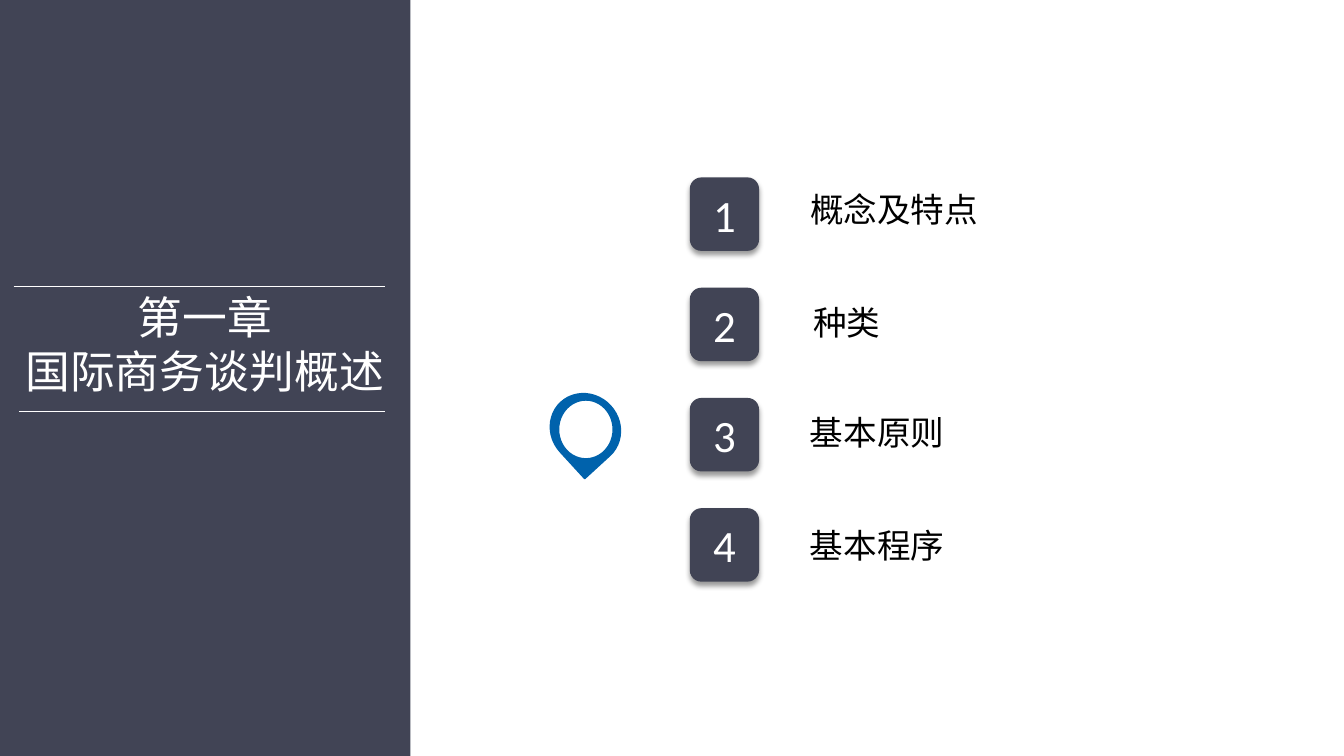
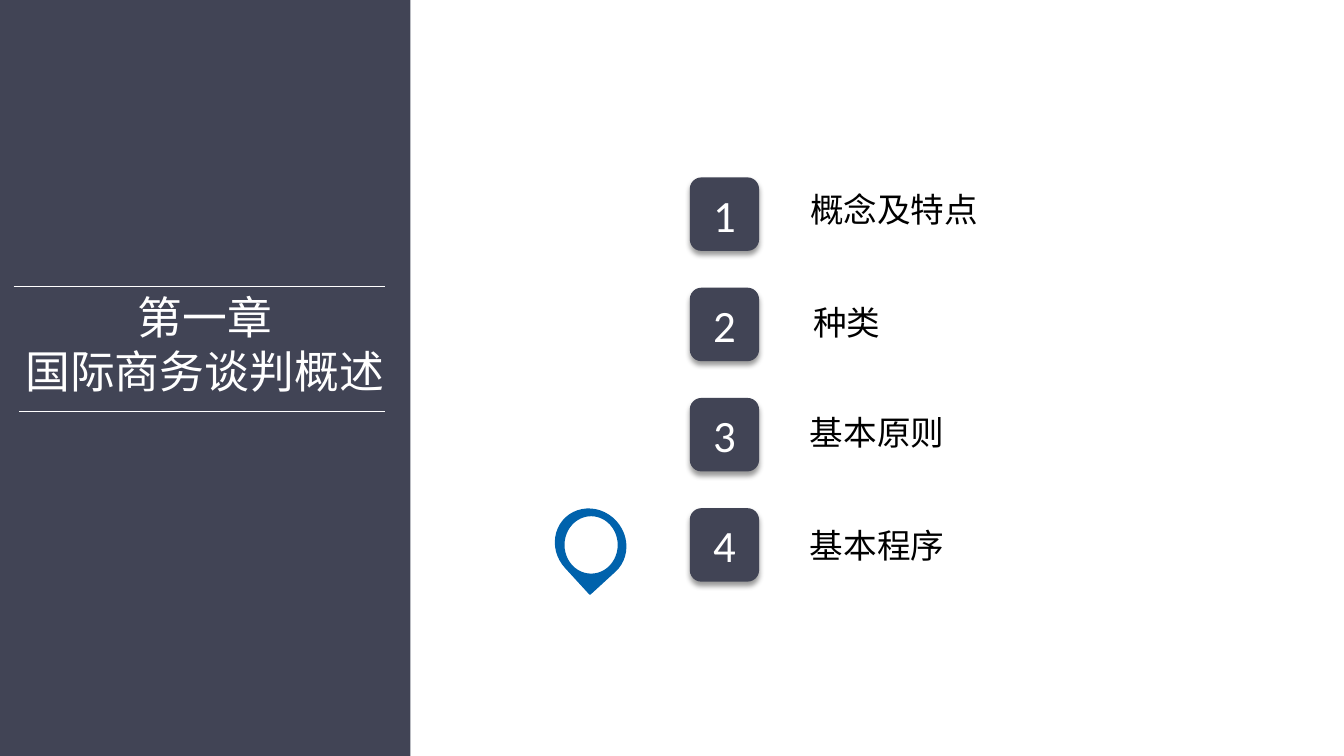
from pptx import Presentation
from pptx.dml.color import RGBColor
from pptx.enum.shapes import MSO_CONNECTOR, MSO_SHAPE
from pptx.enum.text import MSO_ANCHOR, MSO_AUTO_SIZE, PP_ALIGN
from pptx.oxml import parse_xml
from pptx.oxml.ns import nsdecls
from pptx.util import Pt

PX = 9525  # EMU per px, 96 px to the inch
SLATE, BLUE, WHITE, BLACK = "414455", "0062AC", "FFFFFF", "000000"
CJK_FONT = "Noto Sans CJK SC"

CHAPTER = "第一章\n国际商务谈判概述"
SECTIONS = [  # label, left, top
    ("概念及特点", 762, 175),
    ("种类", 765, 283),
    ("基本原则", 762, 388),
    ("基本程序", 762, 495),
]
PIN_PLACES = [(525, 374), (530, 484)]  # one slide each
BADGE_TOP, BADGE_STEP = 169, 105


def add_panel(shapes, kind, box, fill, line=None):
    """Add a filled preset shape, with an outline only if a colour is given."""
    panel = shapes.add_shape(kind, *(n * PX for n in box))
    panel.shadow.inherit = False
    panel.fill.solid()
    panel.fill.fore_color.rgb = RGBColor.from_string(fill)
    if line:
        panel.line.color.rgb = RGBColor.from_string(line)
        panel.line.width = Pt(1)
    else:
        panel.line.fill.background()
    return panel


def write(shape, text, size, font, color, align=PP_ALIGN.LEFT,
          anchor=MSO_ANCHOR.TOP, auto_size=MSO_AUTO_SIZE.SHAPE_TO_FIT_TEXT):
    frame = shape.text_frame
    frame.text = text
    frame.word_wrap = False
    frame.auto_size = auto_size
    frame.vertical_anchor = anchor
    for paragraph in frame.paragraphs:
        paragraph.alignment = align
        for run in paragraph.runs:
            run.font.size = Pt(size)
            run.font.name = font
            run.font.color.rgb = RGBColor.from_string(color)
            run.font._element.append(parse_xml(
                f'<a:ea {nsdecls("a")} typeface="{CJK_FONT}"/>'))


prs = Presentation()
prs.slide_width, prs.slide_height = 1280 * PX, 720 * PX

for pin_left, pin_top in PIN_PLACES:
    slide = prs.slides.add_slide(prs.slide_layouts[5])
    shapes = slide.shapes

    # Chapter band behind the title
    chapter = shapes.title
    band = add_panel(shapes, MSO_SHAPE.RECTANGLE, (0, 0, 391, 720), SLATE)
    chapter._element.addprevious(band._element)
    chapter.left, chapter.top = 13 * PX, 271 * PX
    chapter.width, chapter.height = 364 * PX, 113 * PX
    write(chapter, CHAPTER, size=32, font="Times New Roman", color=WHITE,
          align=PP_ALIGN.CENTER)

    # Numbered sections
    for index, (label, left, top) in enumerate(SECTIONS):
        badge = add_panel(shapes, MSO_SHAPE.ROUNDED_RECTANGLE,
                          (657, BADGE_TOP + index * BADGE_STEP, 66, 70), SLATE)
        badge._element.spPr.find("{*}effectLst").append(parse_xml(
            f'<a:outerShdw {nsdecls("a")} blurRad="{Pt(4)}" dist="{Pt(3)}" '
            f'dir="5400000" rotWithShape="0"><a:srgbClr val="{BLACK}">'
            '<a:alpha val="40000"/></a:srgbClr></a:outerShdw>'))
        write(badge, str(index + 1), size=32, font="Calibri", color=WHITE,
              align=PP_ALIGN.CENTER, anchor=MSO_ANCHOR.MIDDLE,
              auto_size=MSO_AUTO_SIZE.NONE)

        section = shapes.add_textbox(left * PX, top * PX,
                                     (20 + 32 * len(label)) * PX, 48 * PX)
        write(section, label, size=24, font=CJK_FONT, color=BLACK)

    # Pin beside the current section
    pin = shapes.add_group_shape()
    drop = add_panel(pin.shapes, MSO_SHAPE.TEAR, (pin_left, pin_top, 65, 69),
                     BLUE, line=BLUE)
    drop.rotation = 137.5
    add_panel(pin.shapes, MSO_SHAPE.OVAL, (pin_left + 7, pin_top + 7, 52, 56),
              WHITE, line=BLUE)

    # Rules above and below the title
    rules = shapes.add_group_shape()
    for left, y in [(13, 273), (18, 392)]:
        rule = rules.shapes.add_connector(MSO_CONNECTOR.STRAIGHT, left * PX,
                                          y * PX, 367 * PX, y * PX)
        rule.line.color.rgb = RGBColor.from_string(WHITE)
        rule.line.width = Pt(0.5)
        rule._element.spPr.append(parse_xml(f'<a:effectLst {nsdecls("a")}/>'))

prs.save("out.pptx")
